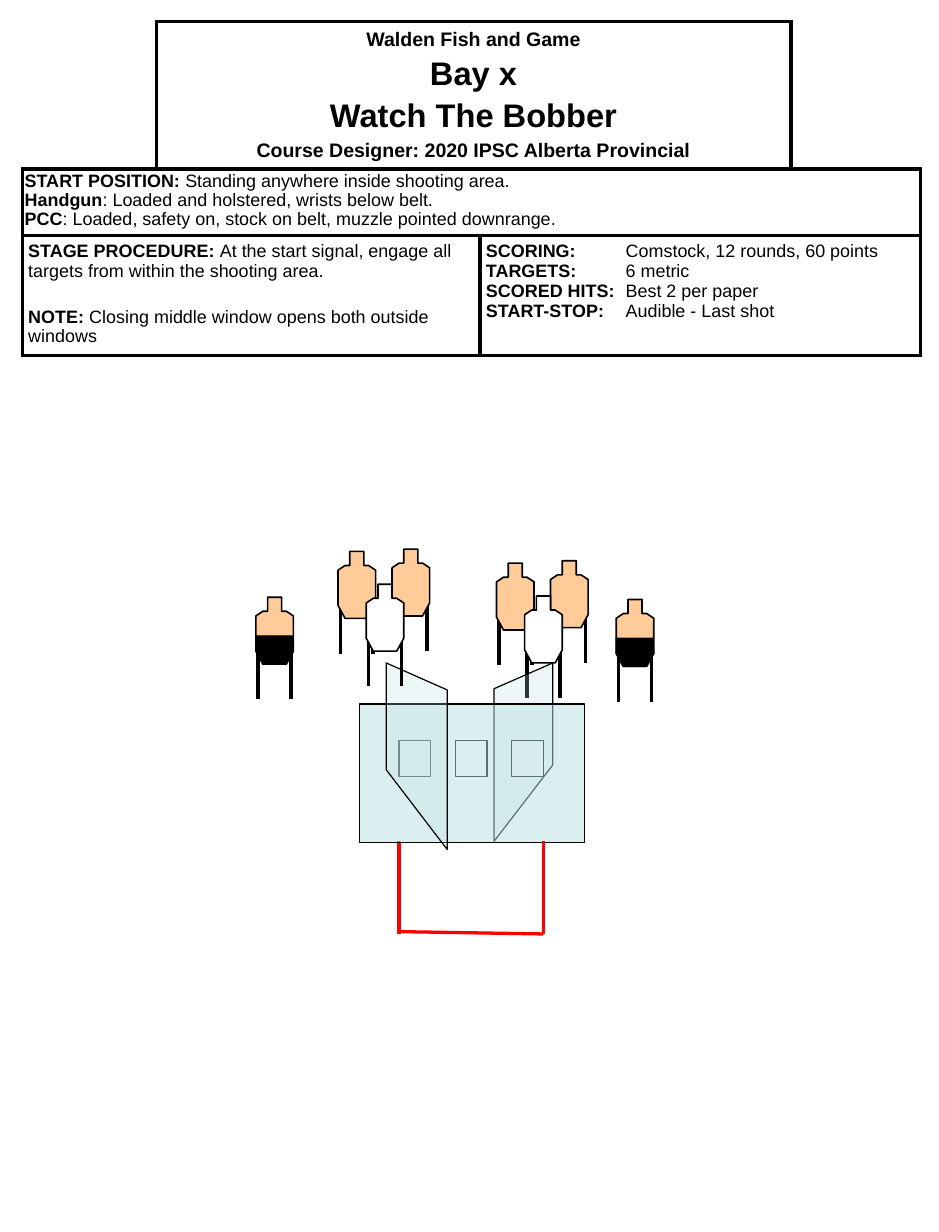
import pptx
import pptx.util
import pptx.dml.color
import pptx.enum.shapes
import pptx.enum.text
import pptx.oxml.ns
import lxml.etree

PX = 9144  # EMU per px, 100 px to the inch
HUE = {"ink": "000000", "paper": "FFFFFF", "tan": "FFCC99",
       "glass": "BBE0E3", "red": "FF0000"}
BODY = [(10, 0), (22, 0), (22, 12), (26, 12), (32, 16), (32, 46),
        (26, 57), (6, 57), (0, 46), (0, 16), (6, 12), (10, 12)]
PAINT = [(0, 33), (31, 33), (32, 46), (25, 57), (6, 57), (0, 46)]
LEGS = (2, 30)
SIDES = "LRTB"
qn = pptx.oxml.ns.qn


def rgb(name):
    return pptx.dml.color.RGBColor.from_string(HUE[name])


def style(shape, fill, width, alpha=100):
    shape.shadow.inherit = False
    shape.fill.solid()
    shape.fill.fore_color.rgb = rgb(fill)
    shape.line.color.rgb = rgb("ink")
    shape.line.width = pptx.util.Pt(width)
    if alpha < 100:
        color = shape._element.spPr.find(qn("a:solidFill"))[0]
        lxml.etree.SubElement(color, qn("a:alpha")).set("val", str(alpha * 1000))


def add_line(shapes, start, end, color, width):
    kind = pptx.enum.shapes.MSO_CONNECTOR.STRAIGHT
    line = shapes.add_connector(kind, *[v * PX for v in (*start, *end)])
    line.line.color.rgb = rgb(color)
    line.line.width = pptx.util.Pt(width)
    lxml.etree.SubElement(line._element.spPr, qn("a:effectLst"))


def add_poly(shapes, points, fill, width, alpha=100):
    pen = shapes.build_freeform(*points[0], scale=PX)
    pen.add_line_segments(points[1:], close=True)
    style(pen.convert_to_shape(), fill, width, alpha)


def add_rect(shapes, box, fill):
    kind = pptx.enum.shapes.MSO_SHAPE.RECTANGLE
    style(shapes.add_shape(kind, *[v * PX for v in box]), fill, 0.75, 50)


def add_target(slide, left, top, fill="tan", hard=False):
    """Paper target on two legs; hard cover blackens its lower half."""
    parts = slide.shapes.add_group_shape().shapes
    for leg in LEGS:
        add_line(parts, (left + leg, top + 43), (left + leg, top + 87), "ink", 2.25)
    add_poly(parts, [(left + x, top + y) for x, y in BODY], fill, 1)
    if hard:
        add_poly(parts, [(left + x, top + y) for x, y in PAINT], "ink", 0)


def add_wall(slide):
    parts = slide.shapes.add_group_shape().shapes
    for i in range(3):
        add_rect(parts, (340 + 48 * i, 631, 27, 31), "paper")
    add_rect(parts, (306, 600, 192, 118), "glass")


def frame(cell, sides):
    """Border the given sides and fill the cell; borders must come first."""
    props = cell._tc.get_or_add_tcPr()
    for side in SIDES:
        edge = lxml.etree.SubElement(props, qn("a:ln" + side))
        if side in sides:
            edge.set("w", str(pptx.util.Pt(2.25)))
            ink = lxml.etree.SubElement(edge, qn("a:solidFill"))
            lxml.etree.SubElement(ink, qn("a:srgbClr")).set("val", HUE["ink"])
        else:
            lxml.etree.SubElement(edge, qn("a:noFill"))
    cell.fill.solid()
    cell.fill.fore_color.rgb = rgb("paper")


def add_text(cell, lines, inset, tab=None, **form):
    """Each line is (runs, size, space before); a run is (text, bold)."""
    for side, gap in zip(("left", "right", "top", "bottom"), inset):
        setattr(cell, "margin_" + side, gap * PX)
    for i, (runs, size, space) in enumerate(lines):
        para = cell.text_frame.paragraphs[0] if i == 0 else cell.text_frame.add_paragraph()
        if tab:
            stops = lxml.etree.SubElement(para._p.get_or_add_pPr(), qn("a:tabLst"))
            stop = lxml.etree.SubElement(stops, qn("a:tab"))
            stop.set("pos", str(tab * PX))
            stop.set("algn", "l")
        form["space_before"] = pptx.util.Pt(space)
        for key, value in form.items():
            setattr(para, key, value)
        for text, bold in runs:
            run = para.add_run()
            run.text = text
            face = {"name": "Arial", "size": pptx.util.Pt(size), "bold": bold}
            for key, value in face.items():
                setattr(run.font, key, value)
            run.font.color.rgb = rgb("ink")


def pair(head, text, space=0):
    return [(head, True), (text, False)], 11, space


def add_brief(slide):
    wide, high = (114, 276, 265, 110), (126, 57, 102)
    box = [v * PX for v in (19, 18, sum(wide), sum(high))]
    table = slide.shapes.add_table(3, 4, *box).table
    table.first_row = table.horz_banding = False
    for col, size in zip(table.columns, wide):
        col.width = size * PX
    for row, size in zip(table.rows, high):
        row.height = size * PX
    corners = {(0, 0): "RB", (0, 3): "LB"}
    for r in range(3):
        for c in range(4):
            frame(table.cell(r, c), corners.get((r, c), SIDES))
    for r, first, last in ((0, 1, 2), (1, 0, 3), (2, 0, 1), (2, 2, 3)):
        table.cell(r, first).merge(table.cell(r, last))

    even = (5, 5, 5, 5)
    head = table.cell(0, 1)
    head.vertical_anchor = pptx.enum.text.MSO_ANCHOR.MIDDLE
    add_text(head, [
        ([("Walden Fish and Game", True)], 12, 0),
        ([("Bay x", True)], 20, 3.5),
        ([("Watch The Bobber", True)], 20, 3.5),
        ([("Course Designer: 2020 IPSC Alberta Provincial", True)], 12, 3.5),
    ], even, alignment=pptx.enum.text.PP_ALIGN.CENTER)
    add_text(table.cell(1, 0), [
        pair("START POSITION: ", "Standing anywhere inside shooting area."),
        pair("Handgun", ": Loaded and holstered, wrists below belt.", 0.6),
        pair("PCC", ": Loaded, safety on, stock on belt, muzzle pointed downrange.", 0.6),
    ], (2, 2, 4, 4), line_spacing=0.9)
    add_text(table.cell(2, 0), [
        pair("STAGE PROCEDURE: ", "At the start signal, engage all targets "
             "from within the shooting area."),
        pair("NOTE:", " Closing middle window opens both outside windows", 15.5),
    ], even)
    add_text(table.cell(2, 2), [
        pair("SCORING:", "\tComstock, 12 rounds, 60 points"),
        pair("TARGETS:", "\t6 metric"),
        pair("SCORED HITS:", "\tBest 2 per paper"),
        pair("START-STOP:", "\tAudible - Last shot"),
    ], even, tab=119)


def add_trio(slide, left, top):
    """Two scoring targets behind one white no-shoot."""
    add_target(slide, left + 46, top)
    add_target(slide, left, top + 2)
    add_target(slide, left + 24, top + 30, "paper")


def main():
    deck = pptx.Presentation()
    deck.slide_width, deck.slide_height = 800 * PX, 1050 * PX
    slide = deck.slides.add_slide(deck.slide_layouts[6])
    shapes = slide.shapes
    add_trio(slide, 423, 478)
    add_poly(shapes, [(471, 652), (421, 717), (421, 587), (471, 565)], "glass", 0.75, 25)
    add_brief(slide)
    add_line(shapes, (340, 717), (340, 796), "red", 2)
    add_line(shapes, (463, 796), (339, 794), "red", 2)
    add_wall(slide)
    add_poly(shapes, [(329, 656), (381, 724), (381, 588), (329, 565)], "glass", 0.75, 25)
    add_trio(slide, 288, 468)
    add_target(slide, 525, 511, hard=True)
    add_target(slide, 218, 509, hard=True)
    add_line(shapes, (463, 717), (463, 796), "red", 2)
    deck.save("out.pptx")


if __name__ == "__main__":
    main()
